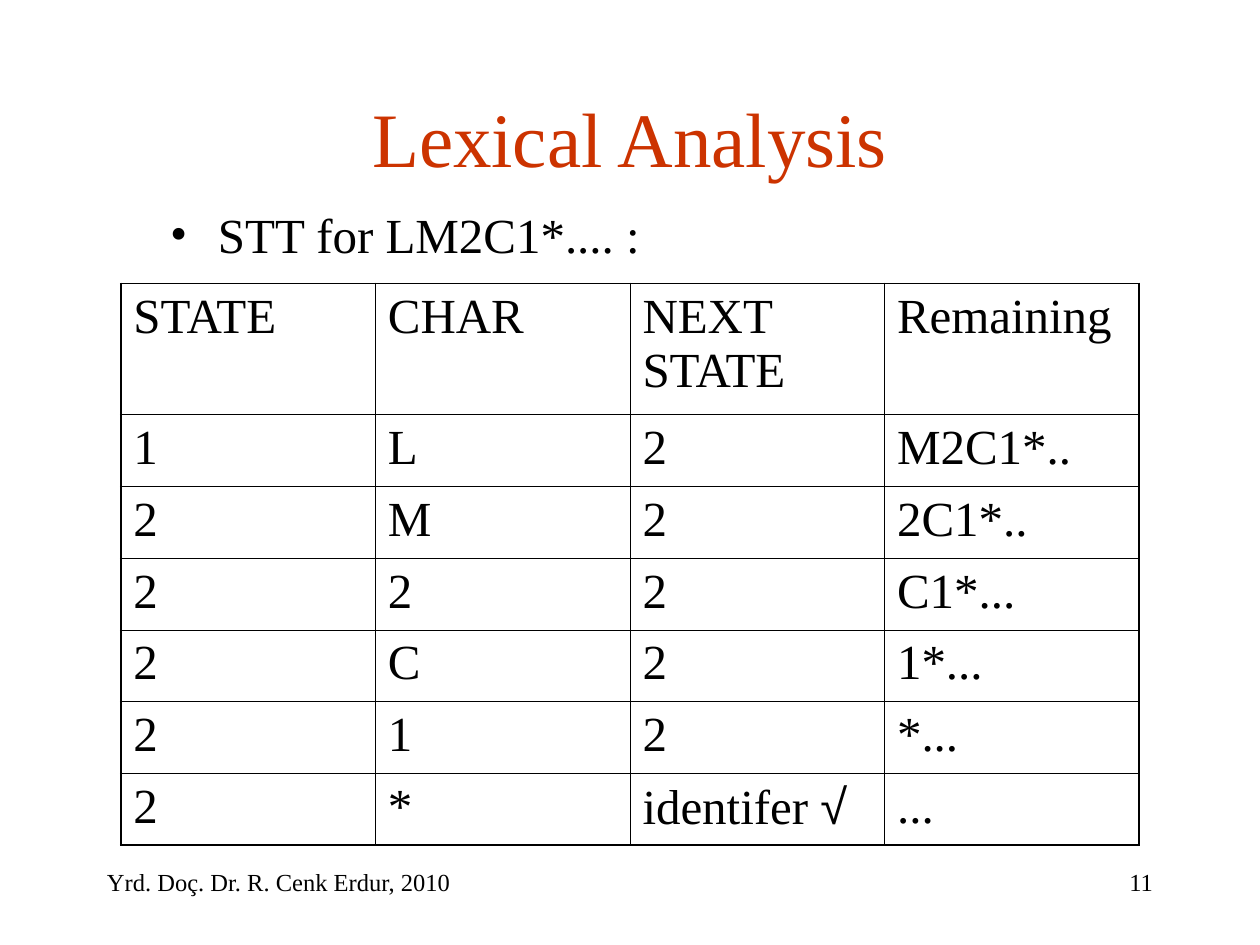
from lxml.etree import SubElement
from pptx import Presentation
from pptx.dml.color import RGBColor
from pptx.enum.text import MSO_ANCHOR, MSO_AUTO_SIZE, PP_ALIGN
from pptx.oxml.ns import qn
from pptx.util import Inches, Pt

COLORS = {"title": "CC3300", "text": "000000", "background": "FFFFFF"}
SERIF, SANS = "Times New Roman", "Arial"
COLUMNS, ROWS = 120, 90  # grid of the slide

HEADER = ["STATE", "CHAR", "NEXT STATE", "Remaining"]
TRANSITIONS = [
    ["1", "L", "2", "M2C1*.."],
    ["2", "M", "2", "2C1*.."],
    ["2", "2", "2", "C1*..."],
    ["2", "C", "2", "1*..."],
    ["2", "1", "2", "*..."],
    ["2", "*", [("identifer ", SERIF), ("√", SANS)], "..."],
]


class SlideBuilder:
    def __init__(self, deck):
        self.deck = deck
        self.page = deck.slides.add_slide(deck.slide_layouts[1])
        fill = self.page.background.fill
        fill.solid()
        fill.fore_color.rgb = RGBColor.from_string(COLORS["background"])

    def area(self, left, top, width, height):
        across = self.deck.slide_width / COLUMNS
        down = self.deck.slide_height / ROWS
        return [round(n * unit) for n, unit in
                zip((left, top, width, height), (across, down, across, down))]

    def add_text(self, frame, spans, size, color="text", **paragraph_format):
        """Fill the frame's first paragraph with text or (text, font) spans."""
        para = frame.paragraphs[0]
        for name, value in paragraph_format.items():
            setattr(para, name, value)
        if isinstance(spans, str):
            spans = [(spans, SERIF)]
        for text, typeface in spans:
            span = para.add_run()
            span.text = text
            for name, value in {"name": typeface, "size": Pt(size)}.items():
                setattr(span.font, name, value)
            span.font.color.rgb = RGBColor.from_string(COLORS[color])
        return para

    def place(self, box, area, anchor):
        for name, value in zip(("left", "top", "width", "height"), self.area(*area)):
            setattr(box, name, value)
        frame = box.text_frame
        settings = {"word_wrap": True, "auto_size": MSO_AUTO_SIZE.NONE,
                    "vertical_anchor": anchor}
        for name, value in settings.items():
            setattr(frame, name, value)
        return frame

    def title(self, text, area):
        frame = self.place(self.page.shapes.title, area, MSO_ANCHOR.MIDDLE)
        self.add_text(frame, text, 44, "title", alignment=PP_ALIGN.CENTER)

    def bullet(self, text, area):
        frame = self.place(self.page.placeholders[1], area, MSO_ANCHOR.TOP)
        para = self.add_text(frame, text, 28, line_spacing=0.8, space_before=Pt(0))
        properties = para._p.get_or_add_pPr()
        indent = Inches(0.38)
        properties.set("marL", str(indent))
        properties.set("indent", str(-indent))
        bullet_color = SubElement(properties, qn("a:buClr"))
        SubElement(bullet_color, qn("a:srgbClr"), val=COLORS["text"])
        SubElement(properties, qn("a:buFont"), typeface=SERIF)
        SubElement(properties, qn("a:buChar"), char="•")

    def footer(self, text, area, alignment):
        box = self.page.shapes.add_textbox(0, 0, 0, 0)
        frame = self.place(box, area, MSO_ANCHOR.TOP)
        self.add_text(frame, text, 14, alignment=alignment)

    def border(self, cell, side, width):
        line = SubElement(cell._tc.get_or_add_tcPr(), qn(f"a:ln{side}"),
                          w=str(Pt(width)))
        fill = SubElement(line, qn("a:solidFill"))
        SubElement(fill, qn("a:srgbClr"), val=COLORS["text"])

    def table(self, records, area, header_height, row_height):
        row_count, column_count = len(records), len(records[0])
        grid = self.page.shapes.add_table(row_count, column_count,
                                          *self.area(*area)).table
        grid.first_row = grid.horz_banding = False
        for index, row in enumerate(grid.rows):
            row.height = Inches(row_height if index else header_height)
        for r, record in enumerate(records):
            for c, content in enumerate(record):
                cell = grid.cell(r, c)
                self.add_text(cell.text_frame, content, 28)
                # Heavier lines around the outside
                outer = {"L": c == 0, "R": c == column_count - 1,
                         "T": r == 0, "B": r == row_count - 1}
                for side, is_outer in outer.items():
                    self.border(cell, side, 1.08 if is_outer else 0.45)
                cell.fill.background()


def main():
    deck = Presentation()
    deck.slide_width, deck.slide_height = Inches(10), Inches(7.5)
    slide = SlideBuilder(deck)

    # Heading and lead-in
    slide.title("Lexical Analysis", (9, 8, 102, 10))
    slide.bullet("STT for LM2C1*.... :", (15, 20, 102, 6))

    # State transition table
    slide.table([HEADER] + TRANSITIONS, (11.5, 27, 97, 53.5), 1.04, 0.57)

    # Footer
    slide.footer("Yrd. Doç. Dr. R. Cenk Erdur, 2010", (9, 82, 70, 6), PP_ALIGN.LEFT)
    slide.footer("11", (86, 82, 25, 6), PP_ALIGN.RIGHT)

    deck.save("out.pptx")


if __name__ == "__main__":
    main()
